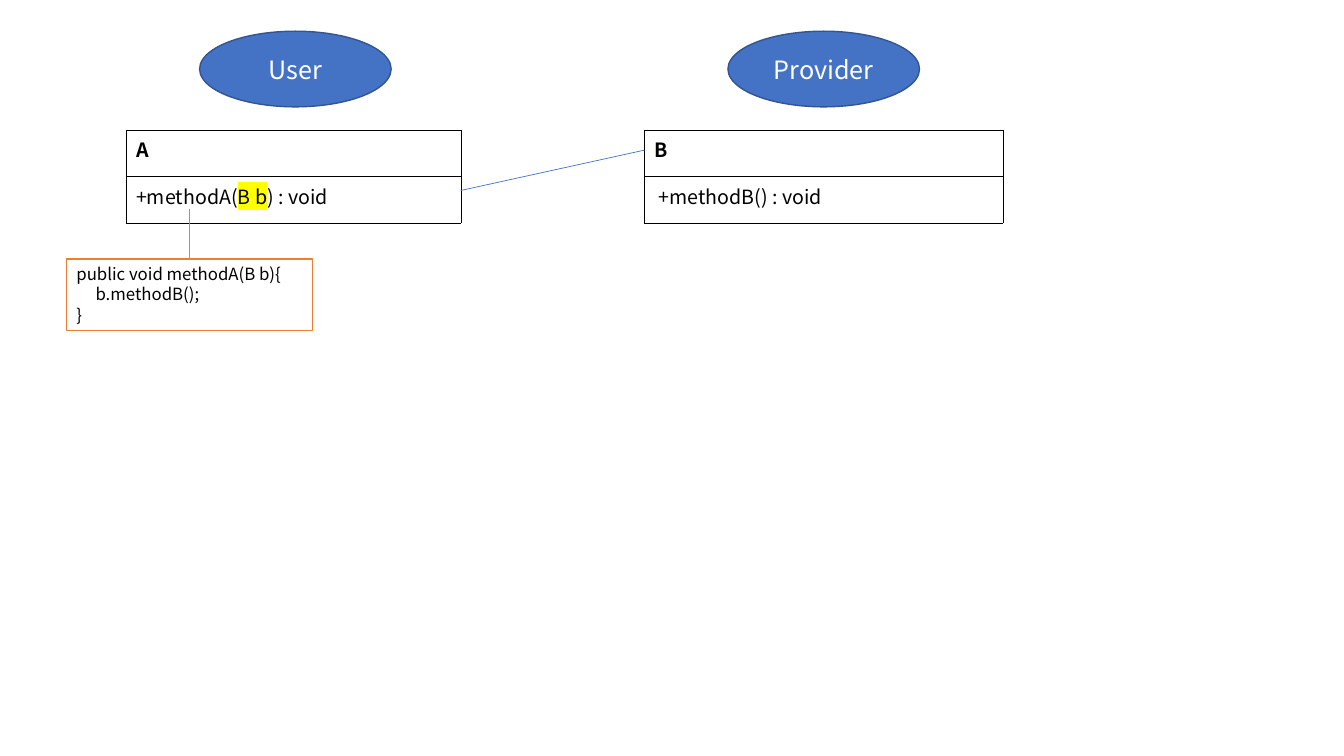
from dataclasses import dataclass

import pptx
import pptx.dml.color
import pptx.enum.shapes
import pptx.enum.text
import pptx.oxml
import pptx.oxml.ns
import pptx.util
from pptx.oxml.ns import nsdecls, qn

PX = 9144  # EMU in one px, 100 px to the inch
FONT = "Noto Sans CJK KR"
COLORS = {
    "blue": "4472C4",
    "blue_edge": "325491",
    "orange": "ED7D31",
    "black": "000000",
    "white": "FFFFFF",
    "yellow": "FFFF00",
}
ROW_HEIGHT = 46
CODE_INDENT = 19


@dataclass(frozen=True)
class Box:
    left: int
    top: int
    width: int
    height: int

    def emu(self) -> tuple[int, ...]:
        return tuple(px(n) for n in (self.left, self.top, self.width, self.height))


@dataclass(frozen=True)
class UmlClass:
    name: str
    method: tuple[str, ...]
    box: Box
    marked: str = ""


@dataclass(frozen=True)
class Role:
    label: str
    box: Box


ROLES = (
    Role("User", Box(198, 31, 190, 75)),
    Role("Provider", Box(722, 31, 190, 75)),
)
CLASSES = (
    UmlClass("A", ("+methodA(", "B b", ") : void"), Box(125, 129, 332, 92), marked="B b"),
    UmlClass("B", (" +methodB() : void",), Box(639, 129, 356, 92)),
)
CODE_BOX = Box(66, 257, 244, 71)
CODE_LINES = (("public void methodA(B b){", 0), ("b.methodB();", CODE_INDENT), ("}", 0))


def px(length: int) -> pptx.util.Emu:
    return pptx.util.Emu(length * PX)


def rgb(color: str) -> pptx.dml.color.RGBColor:
    return pptx.dml.color.RGBColor.from_string(COLORS[color])


def style_paragraph(paragraph, size: int, color: str, bold: bool = False) -> None:
    font = paragraph.font
    font.name, font.size, font.bold = FONT, pptx.util.Pt(size), bold
    font.color.rgb = rgb(color)


def highlight(run) -> None:
    run.font._element.append(pptx.oxml.parse_xml(
        f'<a:highlight {nsdecls("a")}><a:srgbClr val="{COLORS["yellow"]}"/></a:highlight>'))


def add_borders(cell) -> None:
    properties = cell._tc.get_or_add_tcPr()
    for position, side in enumerate(("lnL", "lnR", "lnT", "lnB")):
        properties.insert(position, pptx.oxml.parse_xml(
            f'<a:{side} {nsdecls("a")} w="{pptx.util.Pt(0.25)}"><a:solidFill>'
            f'<a:srgbClr val="{COLORS["black"]}"/></a:solidFill></a:{side}>'))


def add_class(slide, uml: UmlClass) -> None:
    table = slide.shapes.add_table(2, 1, *uml.box.emu()).table
    table.first_row = table.horz_banding = False
    for row, texts in enumerate(((uml.name,), uml.method)):
        table.rows[row].height = px(ROW_HEIGHT)
        cell = table.cell(row, 0)
        cell.fill.solid()
        cell.fill.fore_color.rgb = rgb("white")
        add_borders(cell)
        paragraph = cell.text_frame.paragraphs[0]
        style_paragraph(paragraph, 14, "black", bold=row == 0)
        for text in texts:
            run = paragraph.add_run()
            run.text = text
            if text == uml.marked:
                highlight(run)


def add_panel(slide, preset, box: Box, fill: str, edge: str):
    panel = slide.shapes.add_shape(preset, *box.emu())
    panel.shadow.inherit = False
    panel.fill.solid()
    panel.fill.fore_color.rgb = rgb(fill)
    panel.line.color.rgb = rgb(edge)
    panel.line.width = pptx.util.Pt(1)
    return panel


def add_role(slide, role: Role) -> None:
    oval = add_panel(slide, pptx.enum.shapes.MSO_SHAPE.OVAL, role.box, "blue", "blue_edge")
    frame = oval.text_frame
    frame.vertical_anchor = pptx.enum.text.MSO_ANCHOR.MIDDLE
    frame.text = role.label
    frame.paragraphs[0].alignment = pptx.enum.text.PP_ALIGN.CENTER
    style_paragraph(frame.paragraphs[0], 18, "white")


def add_code(slide):
    code = add_panel(slide, pptx.enum.shapes.MSO_SHAPE.RECTANGLE, CODE_BOX, "white", "orange")
    frame = code.text_frame
    frame.word_wrap = True
    frame.auto_size = pptx.enum.text.MSO_AUTO_SIZE.SHAPE_TO_FIT_TEXT
    frame.vertical_anchor = pptx.enum.text.MSO_ANCHOR.TOP
    frame.text = "\n".join(text for text, _ in CODE_LINES)
    for paragraph, (_, indent) in zip(frame.paragraphs, CODE_LINES):
        paragraph.alignment = pptx.enum.text.PP_ALIGN.LEFT
        style_paragraph(paragraph, 12, "black")
        paragraph._p.get_or_add_pPr().set("marL", str(px(indent)))
    return code


def add_link(slide, start: tuple[int, int], end: tuple[int, int], color: str):
    link = slide.shapes.add_connector(
        pptx.enum.shapes.MSO_CONNECTOR.STRAIGHT, *(px(n) for n in start + end))
    link.line.color.rgb = rgb(color)
    link.line.width = pptx.util.Pt(0.5)
    link._element.spPr.append(pptx.oxml.parse_xml(f'<a:effectLst {nsdecls("a")}/>'))
    return link


def main() -> None:
    deck = pptx.Presentation()
    deck.slide_width, deck.slide_height = px(1333), px(750)
    slide = deck.slides.add_slide(deck.slide_layouts[6])

    for uml in CLASSES:
        add_class(slide, uml)
    user, provider = (uml.box for uml in CLASSES)
    add_link(slide, (user.left + user.width, 189), (provider.left, 149), "blue")
    for role in ROLES:
        add_role(slide, role)
    code = add_code(slide)
    code_middle = CODE_BOX.left + CODE_BOX.width // 2
    code_link = add_link(slide, (code_middle, 207), (code_middle, CODE_BOX.top), "orange")
    code_link.end_connect(code, 0)

    deck.save("out.pptx")


if __name__ == "__main__":
    main()
